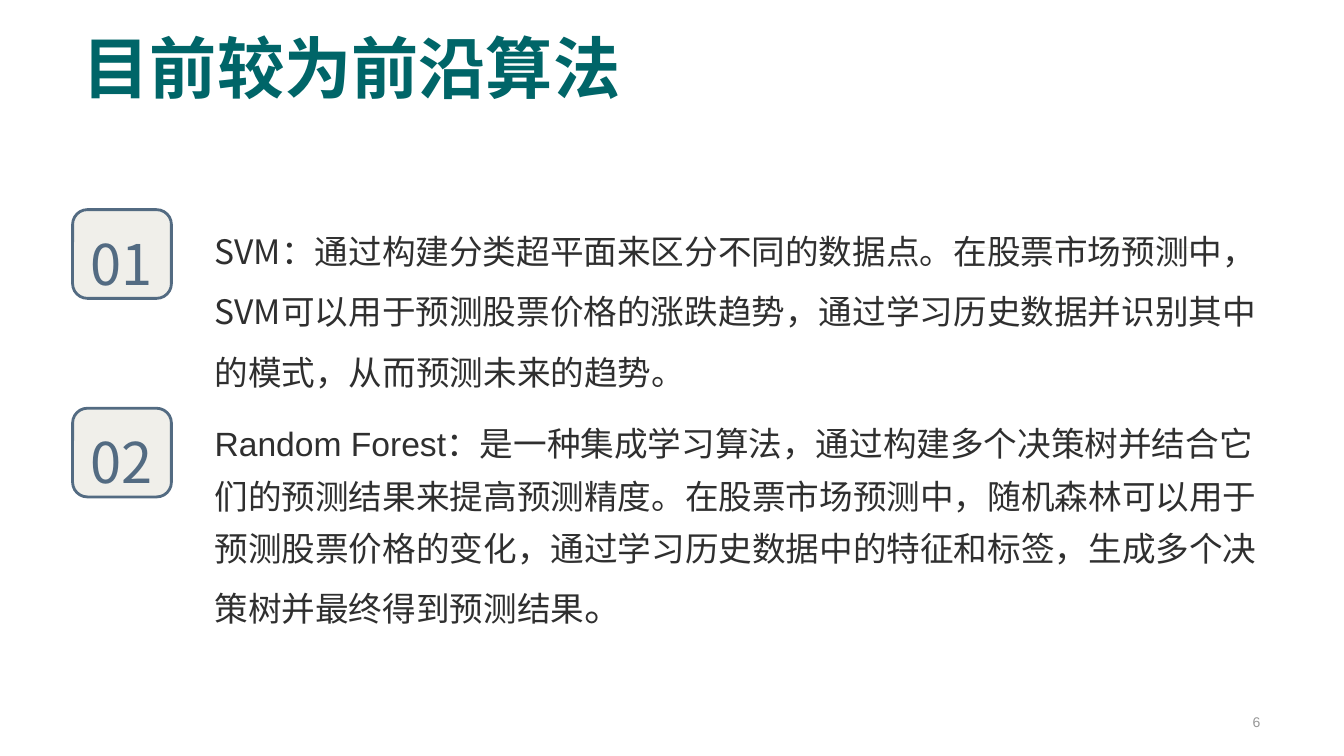
from lxml import etree
from pptx import Presentation
from pptx.dml.color import RGBColor
from pptx.enum.shapes import MSO_CONNECTOR, MSO_SHAPE
from pptx.enum.text import MSO_ANCHOR, MSO_AUTO_SIZE, PP_ALIGN
from pptx.oxml.ns import qn
from pptx.util import Inches, Pt

ROUNDED = MSO_SHAPE.ROUNDED_RECTANGLE
STRAIGHT = MSO_CONNECTOR.STRAIGHT
LEFT, RIGHT = PP_ALIGN.LEFT, PP_ALIGN.RIGHT
TOP, MIDDLE, BOTTOM = MSO_ANCHOR.TOP, MSO_ANCHOR.MIDDLE, MSO_ANCHOR.BOTTOM
NO_AUTOFIT = MSO_AUTO_SIZE.NONE

CJK = "Noto Sans CJK SC"
LATIN = "Arial"
SLATE = "536B82"
INK = "2F2F2F"
MARGIN = 0.72
TEXT_LEFT = 2.03
TEXT_WIDTH = 10.66
FIRST_ROW = 2.08
ROW_STEP = 1.97


def color(value):
    return RGBColor.from_string(value)


def write(shape, box, text, size, hex_color, font=CJK, spacing=1.0,
          align=LEFT, anchor=TOP, wrap=True, bold=False):
    shape.left, shape.top, shape.width, shape.height = map(Inches, box)
    frame = shape.text_frame
    frame.auto_size = NO_AUTOFIT
    frame.word_wrap = wrap
    frame.vertical_anchor = anchor
    paragraph = frame.paragraphs[0]
    paragraph.add_run().text = text
    paragraph.alignment = align
    paragraph.line_spacing = spacing
    paragraph.font.size = Pt(size)
    paragraph.font.bold = bold
    paragraph.font.color.rgb = color(hex_color)
    paragraph.font.name = font
    properties = paragraph.font._element
    etree.SubElement(properties, qn("a:ea")).set("typeface", CJK)
    return paragraph


presentation = Presentation()
presentation.slide_width = Inches(13.33)
presentation.slide_height = Inches(7.5)
slide = presentation.slides.add_slide(presentation.slide_layouts[5])
shapes = slide.shapes

write(shapes.title, (MARGIN, 0, 11.88, 1.12), "目前较为前沿算法", 48, "006568",
      spacing=0.9, anchor=BOTTOM, bold=True)

page_number = shapes.add_textbox(0, 0, 0, 0)
write(page_number, (9.69, 7.04, 2.91, 0.24), "6", 10, "979797",
      font=LATIN, align=RIGHT, anchor=MIDDLE)

divider = shapes.add_connector(
    STRAIGHT, Inches(9.44), Inches(2.45), Inches(11.87), Inches(2.45))
divider.line.color.rgb = color("F1F0EB")
divider.line.width = Pt(0.5)
etree.SubElement(divider._element.spPr, qn("a:effectLst"))

algorithms = [
    ("01", "SVM：通过构建分类超平面来区分不同的数据点。在股票市场预测中，"
           "SVM可以用于预测股票价格的涨跌趋势，通过学习历史数据并识别其中"
           "的模式，从而预测未来的趋势。", CJK, 1.5, 2.04, 1.85),
    ("02", "Random Forest：是一种集成学习算法，通过构建多个决策树并结合它"
           "们的预测结果来提高预测精度。在股票市场预测中，随机森林可以用于"
           "预测股票价格的变化，通过学习历史数据中的特征和标签，生成多个决"
           "策树并最终得到预测结果", LATIN, 1.3, 4.03, 2.24),
]

for row, (number, text, font, spacing, top, height) in enumerate(algorithms):
    badge_top = FIRST_ROW + row * ROW_STEP
    badge = shapes.add_shape(ROUNDED, Inches(MARGIN), Inches(badge_top),
                             Inches(0.98), Inches(0.88))
    badge.shadow.inherit = False
    badge.fill.solid()
    badge.fill.fore_color.rgb = color("F0EFEA")
    badge.line.color.rgb = color(SLATE)
    badge.line.width = Pt(2)

    label = shapes.add_textbox(0, 0, 0, 0)
    write(label, (0.8, badge_top - 0.19, 0.83, 1.05), number, 40, SLATE,
          spacing=1.5, wrap=False)

    description = shapes.add_textbox(0, 0, 0, 0)
    paragraph = write(description, (TEXT_LEFT, top, TEXT_WIDTH, height),
                      text, 24, INK, font=font, spacing=spacing)

full_stop = paragraph.add_run()
full_stop.text = "。"
full_stop.font.size = Pt(28)

presentation.save("out.pptx")
